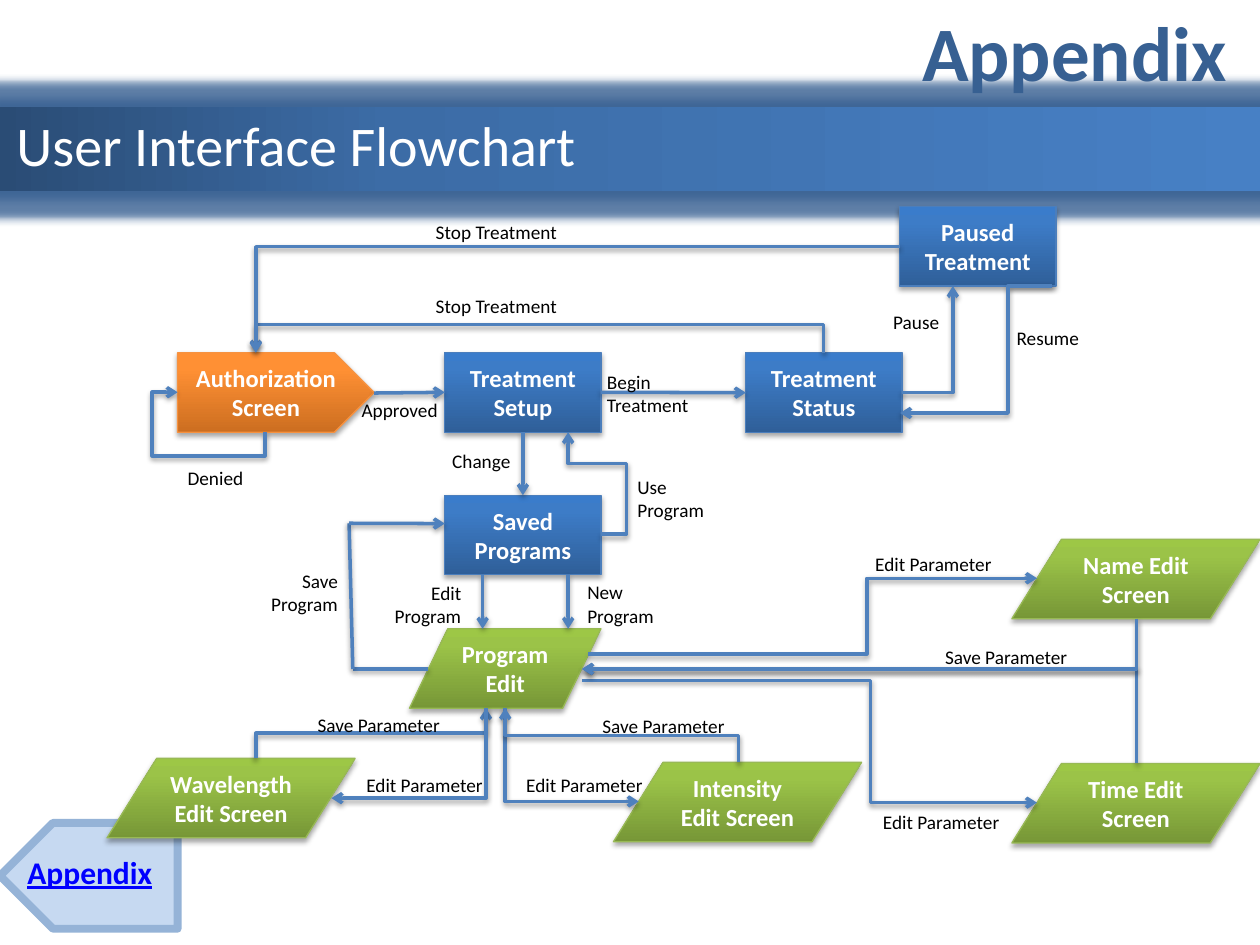
from lxml import etree
from pptx import Presentation
from pptx.dml.color import RGBColor
from pptx.enum.shapes import MSO_CONNECTOR, MSO_SHAPE
from pptx.enum.text import MSO_ANCHOR, MSO_AUTO_SIZE, PP_ALIGN
from pptx.oxml.ns import qn
from pptx.util import Pt

LEFT, CENTER, RIGHT = PP_ALIGN.LEFT, PP_ALIGN.CENTER, PP_ALIGN.RIGHT
TOP, MIDDLE = MSO_ANCHOR.TOP, MSO_ANCHOR.MIDDLE
PROCESS = MSO_SHAPE.FLOWCHART_PROCESS
SCREEN = MSO_SHAPE.FLOWCHART_DATA
PENTAGON = MSO_SHAPE.PENTAGON
RECTANGLE = MSO_SHAPE.RECTANGLE
STRAIGHT = MSO_CONNECTOR.STRAIGHT
NO_RESIZE = MSO_AUTO_SIZE.NONE

FONT = "Calibri"
WHITE = RGBColor(0xFF, 0xFF, 0xFF)
BLACK = RGBColor(0, 0, 0)
NAVY = RGBColor(0x37, 0x60, 0x92)
LINK_BLUE = RGBColor(0, 0, 0xFF)
BUTTON_FILL = RGBColor(0xC6, 0xD9, 0xF1)
BUTTON_LINE = RGBColor(0x95, 0xB3, 0xD7)
ARROW_BLUE = RGBColor(0x4F, 0x81, 0xBD)
BLUE_LINE = RGBColor(0x4B, 0x7E, 0xBC)
ORANGE_LINE = RGBColor(0xF6, 0x92, 0x40)
GREEN_LINE = RGBColor(0x98, 0xB9, 0x55)

BAR_STOPS = [(0, RGBColor(0x2A, 0x4C, 0x75)), (31, RGBColor(0x3C, 0x6C, 0xA6)),
             (100, RGBColor(0x47, 0x80, 0xC5))]
BLUE_STOPS = [(0, RGBColor(0x2F, 0x5F, 0x99)), (80, RGBColor(0x3D, 0x7C, 0xC7)),
              (100, RGBColor(0x3A, 0x7C, 0xCB))]
ORANGE_STOPS = [(0, RGBColor(0xCC, 0x6E, 0x20)), (80, RGBColor(0xFF, 0x90, 0x34)),
                (100, RGBColor(0xFF, 0x91, 0x36))]
GREEN_STOPS = [(0, RGBColor(0x77, 0x97, 0x37)), (80, RGBColor(0x9B, 0xC3, 0x48)),
               (100, RGBColor(0x9D, 0xC7, 0x46))]

NODE_HEIGHT = 45.4
BLUE_NODE = (PROCESS, 89.3, BLUE_STOPS, BLUE_LINE)
ORANGE_NODE = (PENTAGON, 112.3, ORANGE_STOPS, ORANGE_LINE)
GREEN_NODE = (SCREEN, 141.8, GREEN_STOPS, GREEN_LINE)
PROGRAM_NODE = (SCREEN, 109.4, GREEN_STOPS, GREEN_LINE)

NODES = [
    ("Authorization Screen", 101.5, 201.6, ORANGE_NODE),
    ("Treatment Setup", 254.2, 201.6, BLUE_NODE),
    ("Paused Treatment", 514.1, 118.1, BLUE_NODE),
    ("Treatment Status", 426.2, 201.6, BLUE_NODE),
    ("Saved Programs", 254.2, 283, BLUE_NODE),
    ("Program\nEdit", 234, 359.3, PROGRAM_NODE),
    ("Wavelength Edit Screen", 61.2, 433.4, GREEN_NODE),
    ("Name Edit Screen", 578.2, 308.2, GREEN_NODE),
    ("Intensity Edit Screen", 350.6, 435.6, GREEN_NODE),
    ("Time Edit Screen", 578.2, 436.3, GREEN_NODE),
]
LINES = [
    ((343.4, 224.2), (426.2, 224.4), True),
    ((213.8, 224.6), (254.2, 224.2), True),
    ((298.8, 247), (298.8, 283), True),
    ((275.8, 328.4), (275.8, 359.3), True),
    ((324.7, 328.4), (324.7, 359.3), True),
    ((244.8, 382.3), (201.6, 382.3), False),
    ((201.6, 382.3), (199.5, 299), False),
    ((199.5, 299), (254.2, 299.2), True),
]
ROUTES = [
    [(151.4, 247), (151.4, 260.6), (87, 260.6), (87, 224.2), (101.5, 224.2)],
    [(470.5, 201.6), (470.5, 185.4), (146.2, 185.4), (146.2, 201)],
    [(515.2, 224.4), (544.5, 224.4), (544.5, 163.5)],
    [(601.2, 163.5), (576, 163.5), (576, 236), (514.4, 236)],
    [(514.1, 141), (146.2, 141), (146.2, 201.6)],
    [(343.4, 305.3), (358, 305.3), (358, 264.8), (324.7, 264.8), (324.7, 247)],
    [(146.2, 433.4), (146.2, 419), (277.7, 419), (277.7, 404.7)],
    [(288.7, 404.7), (288.7, 458), (365, 458)],
    [(277.7, 404.7), (277.7, 456.1), (189.4, 456.1)],
    [(422, 435.6), (422, 420.2), (288.7, 420.2), (288.7, 404.7)],
    [(332.6, 388.8), (497.5, 388.8), (497.5, 458.7), (592.6, 458.7)],
    [(649.4, 436.3), (649.4, 382.3), (332.6, 382.3)],
    [(649.4, 353.5), (649.4, 382.3), (332.6, 382.3)],
    [(336.2, 373.7), (495.4, 373.7), (495.4, 330.5), (592.6, 330.5)],
]
LABELS = [
    ("Denied", 100.1, 262.8, 50, LEFT),
    ("Approved", 199.5, 224.3, 75.6, LEFT),
    ("Begin Treatment", 339.8, 208.1, 74.2, LEFT),
    ("Resume", 573.8, 183, 75.6, LEFT),
    ("Pause", 503.3, 173.7, 51.8, LEFT),
    ("Stop Treatment", 241.9, 122.4, 94.3, LEFT),
    ("Stop Treatment", 241.9, 164.9, 94.3, LEFT),
    ("Change", 251.3, 253.4, 50, LEFT),
    ("Use Program", 357.1, 267.8, 56.9, LEFT),
    ("Save Program", 143.3, 321.8, 56.9, RIGHT),
    ("Edit Program", 213.8, 328.5, 56.9, RIGHT),
    ("New Program", 328.5, 328.3, 56.9, LEFT),
    ("Edit Parameter", 189.4, 438.5, 93.6, RIGHT),
    ("Edit Parameter", 280.8, 438.5, 93.6, RIGHT),
    ("Edit Parameter", 484.6, 459.4, 93.6, RIGHT),
    ("Edit Parameter", 480.2, 311.8, 93.6, RIGHT),
    ("Save Parameter", 523.4, 365.2, 93.6, RIGHT),
    ("Save Parameter", 164.9, 403.9, 93.6, RIGHT),
    ("Save Parameter", 327.6, 404.8, 93.6, RIGHT),
]


def add_element(parent, tag, **attributes):
    values = {name: str(value) for name, value in attributes.items()}
    return etree.SubElement(parent, qn(tag), values)


def add_effect(shape, tag, color, alpha, **attributes):
    properties = shape.element.spPr
    effects = properties.find(qn("a:effectLst"))
    if effects is None:
        effects = add_element(properties, "a:effectLst")
    effect = add_element(effects, tag, **attributes)
    color_element = add_element(effect, "a:srgbClr", val=color)
    add_element(color_element, "a:alpha", val=alpha * 1000)


def add_shadow(shape, alpha, distance):
    add_effect(shape, "a:outerShdw", BLACK, alpha, blurRad=Pt(3.1),
               dist=Pt(distance), dir=90 * 60000, rotWithShape=0)


def set_gradient(shape, stops, angle):
    shape.fill.gradient()
    shape.fill.gradient_angle = angle
    stop_list = shape.element.spPr.find(".//" + qn("a:gsLst"))
    stop_list.clear()
    for position, color in stops:
        stop = add_element(stop_list, "a:gs", pos=position * 1000)
        add_element(stop, "a:srgbClr", val=color)


def write_text(shape, text, size, color, bold=False, underline=False,
               align=LEFT, anchor=TOP):
    frame = shape.text_frame
    frame.text = text
    frame.word_wrap = True
    frame.auto_size = NO_RESIZE
    frame.vertical_anchor = anchor
    for paragraph in frame.paragraphs:
        paragraph.alignment = align
        font = paragraph.runs[0].font
        font.name, font.size, font.bold = FONT, Pt(size), bold
        font.underline = underline
        font.color.rgb = color


def add_text(shapes, text, left, top, width, height, **text_format):
    box = shapes.add_textbox(Pt(left), Pt(top), Pt(width), Pt(height))
    write_text(box, text, **text_format)


def add_plain_shape(shapes, kind, left, top, width, height):
    shape = shapes.add_shape(kind, Pt(left), Pt(top), Pt(width), Pt(height))
    shape.shadow.inherit = False
    return shape


def add_header(slide):
    bar = add_plain_shape(slide.shapes, RECTANGLE, 0, 61.2, 720, 48.2)
    set_gradient(bar, BAR_STOPS, 0)
    bar.line.fill.background()
    add_effect(bar, "a:glow", NAVY, 80, rad=Pt(10))
    title = slide.shapes.title
    slide.shapes.element.append(title.element)
    title.left, title.top, title.width, title.height = Pt(2.2), Pt(59.8), Pt(486), Pt(46)
    write_text(title, "User Interface Flowchart", size=32, color=WHITE)
    add_text(slide.shapes, "Appendix", 519.8, -0.7, 198, 60.5,
             size=44, color=NAVY, bold=True)


def add_back_button(slide):
    group = slide.shapes.add_group_shape()
    arrow = add_plain_shape(group.shapes, PENTAGON, 0, 470.2, 101.5, 60.5)
    arrow.rotation = 180
    arrow.fill.solid()
    arrow.fill.fore_color.rgb = BUTTON_FILL
    arrow.line.color.rgb = BUTTON_LINE
    arrow.line.width = Pt(4.5)
    add_text(group.shapes, "Appendix", 8.6, 483.8, 92.2, 26,
             size=18, color=LINK_BLUE, bold=True, underline=True)


def add_node(slide, text, left, top, style):
    kind, width, stops, line_color = style
    node = add_plain_shape(slide.shapes, kind, left, top, width, NODE_HEIGHT)
    set_gradient(node, stops, 90)
    node.line.color.rgb = line_color
    node.line.width = Pt(0.75)
    add_shadow(node, 35, 1.8)
    write_text(node, text, size=14, color=WHITE, bold=True, align=CENTER, anchor=MIDDLE)


def add_line(slide, start, end, arrow=True):
    line = slide.shapes.add_connector(STRAIGHT, *map(Pt, start + end))
    line.line.color.rgb = ARROW_BLUE
    line.line.width = Pt(2)
    if arrow:
        add_element(line.element.spPr.find(qn("a:ln")), "a:tailEnd", type="arrow")
    add_shadow(line, 38, 1.6)
    return line


def add_route(slide, points):
    (x1, y1), (x2, y2) = points[0], points[-1]
    dx, dy = x2 - x1, y2 - y1
    line = add_line(slide, points[0], points[-1])
    transform = line.element.spPr.find(qn("a:xfrm"))
    starts_vertical = points[1][0] == x1
    if starts_vertical:
        width, height = abs(dy), abs(dx)
        line.left, line.top = Pt((x1 + x2 - width) / 2), Pt((y1 + y2 - height) / 2)
        line.width, line.height = Pt(width), Pt(height)
        upward = dy < 0
        transform.set("rot", str((270 if upward else 90) * 60000))
        transform.set("flipH", "0")
        transform.set("flipV", str(int((dx < 0) == upward)))
    geometry = line.element.spPr.find(qn("a:prstGeom"))
    geometry.set("prst", f"bentConnector{len(points) - 1}")
    guides = geometry.find(qn("a:avLst"))
    for index, (x, y) in enumerate(points[2:-1], start=1):
        along_y = starts_vertical == (index % 2 == 1)
        ratio = (y - y1) / dy if along_y else (x - x1) / dx
        add_element(guides, "a:gd", name=f"adj{index}", fmla=f"val {round(ratio * 100000)}")


def main():
    presentation = Presentation()
    presentation.slide_width, presentation.slide_height = Pt(720), Pt(540)
    slide = presentation.slides.add_slide(presentation.slide_layouts[5])
    add_header(slide)
    add_back_button(slide)
    for node in NODES:
        add_node(slide, *node)
    for line in LINES:
        add_line(slide, *line)
    for points in ROUTES:
        add_route(slide, points)
    for text, left, top, width, align in LABELS:
        add_text(slide.shapes, text, left, top, width, 21.6,
                 size=11, color=BLACK, align=align)
    presentation.save("out.pptx")


if __name__ == "__main__":
    main()
